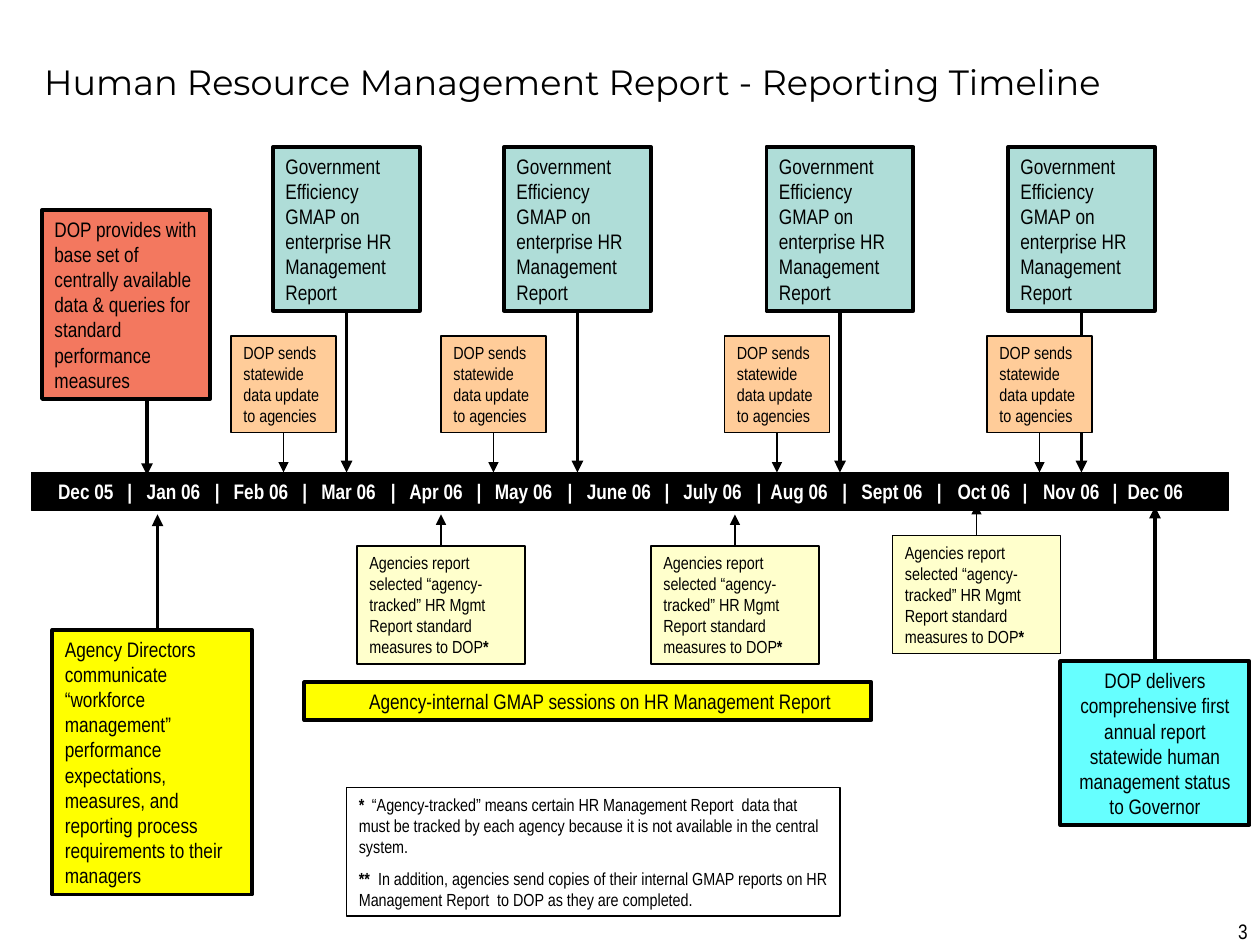
import pptx
import pptx.dml.color
import pptx.enum.shapes
import pptx.enum.text
import pptx.oxml
import pptx.oxml.ns
import pptx.util

Pt = pptx.util.Pt
RGBColor = pptx.dml.color.RGBColor
ALIGN = pptx.enum.text.PP_ALIGN
ANCHOR = pptx.enum.text.MSO_ANCHOR
AUTO_SIZE = pptx.enum.text.MSO_AUTO_SIZE
RECTANGLE = pptx.enum.shapes.MSO_SHAPE.RECTANGLE
STRAIGHT = pptx.enum.shapes.MSO_CONNECTOR.STRAIGHT
TOP_SIDE, BOTTOM_SIDE = 0, 2

BLACK = RGBColor(0x00, 0x00, 0x00)
WHITE = RGBColor(0xFF, 0xFF, 0xFF)
CORAL = RGBColor(0xF3, 0x78, 0x5F)
TEAL = RGBColor(0xAF, 0xDD, 0xD8)
PEACH = RGBColor(0xFF, 0xCC, 0x99)
CREAM = RGBColor(0xFF, 0xFF, 0xCC)
YELLOW = RGBColor(0xFF, 0xFF, 0x00)
CYAN = RGBColor(0x66, 0xFF, 0xFF)

BODY_FONT = "Arial Narrow"
TITLE_FONT = "Montserrat"
THIN, THICK = 0.75, 2.25
SMALL, LARGE = 10, 12

MONTHS = ["Dec 05", "Jan 06", "Feb 06", "Mar 06", "Apr 06", "May 06", "June 06",
          "July 06", "Aug 06", "Sept 06", "Oct 06", "Nov 06", "Dec 06"]
MONTH_CENTRES = [66, 116, 166, 216, 266, 320.5, 374, 423.5, 476.5, 529, 579, 627]
DIVIDER_CENTRES = [41, 91, 141, 191.5, 240.5, 292.5, 348, 400.5, 449.5, 503.5, 552.5, 604]
BAR_TOP = 270


def apply(target, values):
    for name, value in values.items():
        setattr(target, name, value)


def add_tabs(paragraph, stops, align):
    properties = paragraph._p.get_or_add_pPr()
    tab_list = pptx.oxml.parse_xml(f"<a:tabLst {pptx.oxml.ns.nsdecls('a')}/>")
    for stop in stops:
        tab_list.append(pptx.oxml.parse_xml(
            f'<a:tab {pptx.oxml.ns.nsdecls("a")} pos="{Pt(stop)}" algn="{align}"/>'))
    properties.append(tab_list)


def write(paragraph, pieces, size, color=BLACK, font=BODY_FONT):
    """Fill a paragraph from (text, bold) pieces."""
    for text, bold in pieces:
        run = paragraph.add_run()
        run.text = text
        apply(run.font, {"size": Pt(size), "name": font, "bold": bold})
        run.font.color.rgb = color


def add_panel(slide, box, fill, weight, inset=7.2):
    panel = slide.shapes.add_shape(RECTANGLE, *map(Pt, box))
    panel.shadow.inherit = False
    if fill is None:
        panel.fill.background()
    else:
        panel.fill.solid()
        panel.fill.fore_color.rgb = fill
    panel.line.color.rgb = BLACK
    panel.line.width = Pt(weight)
    apply(panel.text_frame, {
        "word_wrap": True, "vertical_anchor": ANCHOR.TOP,
        "auto_size": AUTO_SIZE.SHAPE_TO_FIT_TEXT, "margin_left": Pt(inset),
        "margin_right": Pt(7.2), "margin_top": Pt(3.6), "margin_bottom": Pt(3.6)})
    panel.text_frame.paragraphs[0].alignment = ALIGN.LEFT
    return panel


def add_note(slide, box, pieces, fill, weight, size, align=ALIGN.LEFT, inset=7.2):
    note = add_panel(slide, box, fill, weight, inset)
    paragraph = note.text_frame.paragraphs[0]
    paragraph.alignment = align
    write(paragraph, pieces, size)
    return note


def add_arrow(slide, x, start, end, weight, note=None, side=BOTTOM_SIDE):
    """Vertical arrow, joined to a side of the note when one is given."""
    arrow = slide.shapes.add_connector(STRAIGHT, Pt(x), Pt(start), Pt(x), Pt(end))
    if note is not None:
        arrow.begin_connect(note, side)
    arrow.line.color.rgb = BLACK
    arrow.line.width = Pt(weight)
    properties = arrow.element.spPr
    namespace = pptx.oxml.ns.nsdecls("a")
    properties.find(pptx.oxml.ns.qn("a:ln")).append(
        pptx.oxml.parse_xml(f'<a:tailEnd {namespace} type="triangle"/>'))
    properties.append(pptx.oxml.parse_xml(f"<a:effectLst {namespace}/>"))


def add_title(slide, box):
    title = slide.shapes.title
    apply(title, dict(zip(("left", "top", "width", "height"), map(Pt, box))))
    apply(title.text_frame, {"vertical_anchor": ANCHOR.MIDDLE, "word_wrap": True,
                             "auto_size": AUTO_SIZE.NONE})
    heading = title.text_frame.paragraphs[0]
    heading.alignment = ALIGN.LEFT
    write(heading, [("Human Resource Management Report - Reporting Timeline", False)],
          20, font=TITLE_FONT)


def add_month_bar(slide, box):
    bar = add_panel(slide, box, BLACK, THIN, inset=15.2)
    months = bar.text_frame.paragraphs[0]
    add_tabs(months, sorted(MONTH_CENTRES + DIVIDER_CENTRES), "ctr")
    write(months, [("\t|\t".join(MONTHS), True)], LARGE, WHITE)


def add_agency_report(slide, box, arrow_end):
    left, top, width, _ = box
    pieces = [("Agencies report selected “agency-tracked” HR Mgmt Report "
               "standard measures to DOP", False), ("*", True)]
    report = add_note(slide, box, pieces, CREAM, THIN, SMALL)
    add_arrow(slide, left + width / 2, top, arrow_end, THIN, report, TOP_SIDE)


def add_drop_note(slide, box, text, fill, weight, size):
    """Note above the bar with an arrow down to it."""
    left, top, width, height = box
    note = add_note(slide, box, [(text, False)], fill, weight, size)
    add_arrow(slide, left + width / 2, top + height, BAR_TOP, weight, note)


def add_base_data(slide, box):
    left, top, _, height = box
    add_arrow(slide, left + 60, top + height, BAR_TOP + 1.5, THICK)
    add_note(slide, box, [("DOP provides with base set of centrally available data & "
                           "queries for standard performance measures", False)],
             CORAL, THICK, LARGE)


def add_directors(slide, box):
    left, top, _, _ = box
    add_note(slide, box, [("Agency Directors communicate “workforce management” "
                           "performance expectations, measures, and reporting process "
                           "requirements to their managers", False)],
             YELLOW, THICK, LARGE)
    add_arrow(slide, left + 60, top, 294, THICK)


def add_annual_report(slide, box):
    left, top, width, _ = box
    report = add_note(slide, box, [("DOP delivers comprehensive first annual report "
                                    "statewide human management status to Governor", False)],
                      CYAN, THICK, LARGE, ALIGN.CENTER)
    add_arrow(slide, left + width / 2, top, 289.5, THICK, report, TOP_SIDE)


def add_sessions(slide, box):
    add_note(slide, box, [("Agency-internal GMAP sessions on HR Management Report", False)],
             YELLOW, THICK, LARGE, ALIGN.CENTER, inset=21)


def add_footnotes(slide, box):
    frame = add_panel(slide, box, None, THIN).text_frame
    footnotes = [
        ("*", 7.5, "“Agency-tracked” means certain HR Management Report  data that must be "
                   "tracked by each agency because it is not available in the central system."),
        ("**", 11, "In addition, agencies send copies of their internal GMAP reports on "
                   "HR Management Report  to DOP as they are completed.")]
    for number, (mark, stop, text) in enumerate(footnotes):
        footnote = frame.add_paragraph() if number else frame.paragraphs[0]
        footnote.alignment = ALIGN.LEFT
        if number:
            footnote.space_before = Pt(6.2)
        add_tabs(footnote, [stop], "l")
        write(footnote, [(mark, True), ("\t" + text, False)], SMALL)


def add_page_number(slide, box):
    frame = slide.shapes.add_textbox(*map(Pt, box)).text_frame
    frame.word_wrap = True
    frame.paragraphs[0].alignment = ALIGN.RIGHT
    write(frame.paragraphs[0], [("3", False)], LARGE)


def main():
    deck = pptx.Presentation()
    apply(deck, {"slide_width": Pt(720), "slide_height": Pt(540)})
    slide = deck.slides.add_slide(deck.slide_layouts[5])
    add_title(slide, (18, 21.6, 666, 50.4))

    # Agency reports, with arrows that end under the bar
    for left, top, arrow_end in ((204, 312, 294), (372, 312, 294), (510, 306, 288)):
        add_agency_report(slide, (left, top, 96, 67.5), arrow_end)
    add_month_bar(slide, (18, BAR_TOP, 684, 21.6))

    # Events above the bar
    add_base_data(slide, (24, 120, 96, 108))
    for left in (156, 288, 438, 576):
        add_drop_note(slide, (left, 84, 84, 93.6),
                      "Government Efficiency GMAP on enterprise HR Management Report",
                      TEAL, THICK, LARGE)
    for left in (132, 252, 414, 564):
        add_drop_note(slide, (left, 192, 60, 55.4),
                      "DOP sends statewide data update to agencies", PEACH, THIN, SMALL)

    # Events and notes below the bar
    add_directors(slide, (30, 360, 114, 151.2))
    add_annual_report(slide, (606, 378, 108, 93.6))
    add_sessions(slide, (174, 390, 324, 21.6))
    add_footnotes(slide, (198, 450, 282, 73.4))
    add_page_number(slide, (552, 521.3, 168, 18.7))
    deck.save("out.pptx")


if __name__ == "__main__":
    main()
